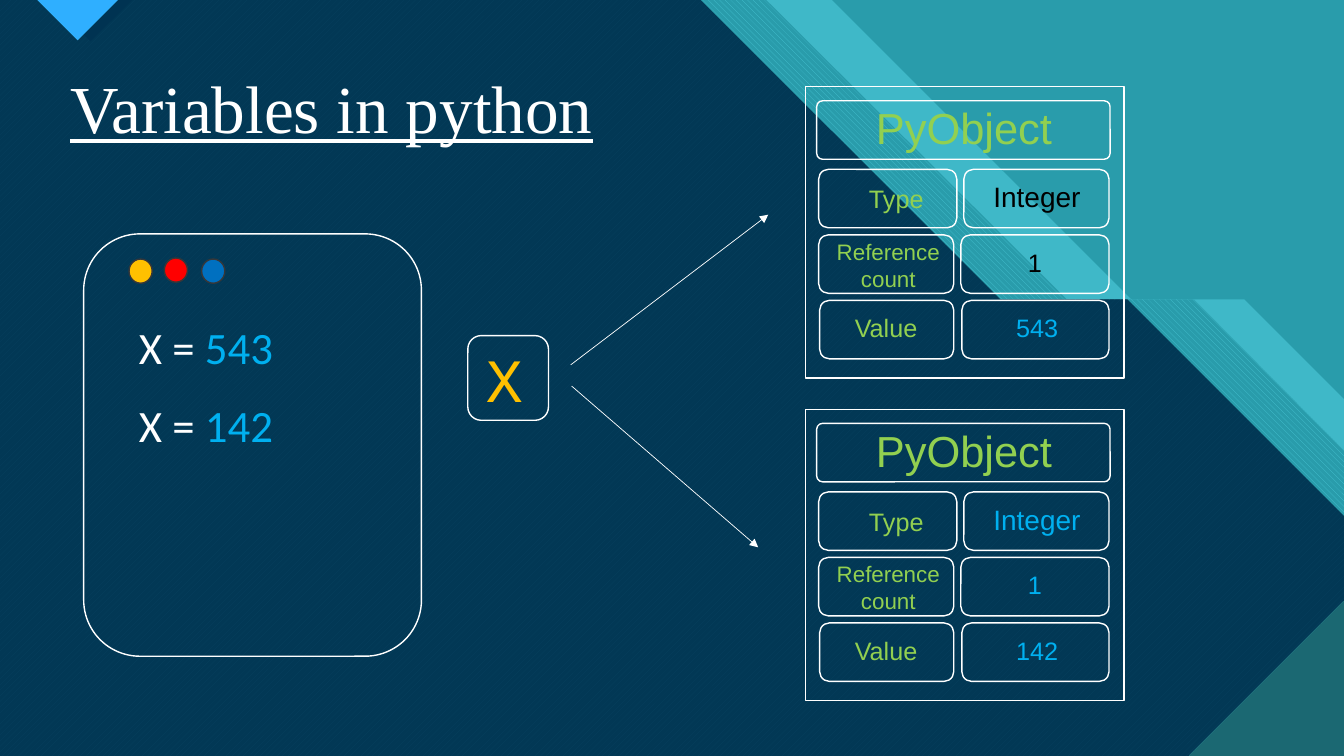
"""Build a slide showing how a Python variable refers to integer objects."""
import pptx
import pptx.util
import pptx.dml.color
import pptx.enum.dml
import pptx.enum.shapes
import pptx.enum.text
import pptx.oxml

Inches = pptx.util.Inches
rgb = pptx.dml.color.RGBColor.from_string
PATTERN = pptx.enum.dml.MSO_PATTERN
SHAPE = pptx.enum.shapes.MSO_SHAPE
ALIGN = pptx.enum.text.PP_ALIGN
ANCHOR = pptx.enum.text.MSO_ANCHOR
NS = 'xmlns:a="http://schemas.openxmlformats.org/drawingml/2006/main"'
WHITE, GREEN, BLUE, NAVY = "FFFFFF", "92D050", "00B0F0", "003352"
TEAL, AQUA, PINE = "299CAB", "47C3D3", "1B6872"

prs = pptx.Presentation()
prs.slide_width, prs.slide_height = Inches(13.33), Inches(7.5)
slide = prs.slides.add_slide(prs.slide_layouts[6])
slide.background.fill.solid()
slide.background.fill.fore_color.rgb = rgb(TEAL)


def add_box(kind, x, y, w, h, fill=None, line=WHITE, adj=None):
    sp = slide.shapes.add_shape(kind, Inches(x), Inches(y), Inches(w), Inches(h))
    sp.shadow.inherit = False
    if fill:
        sp.fill.solid()
        sp.fill.fore_color.rgb = rgb(fill)
    else:
        sp.fill.background()
    sp.line.color.rgb = rgb(line)
    sp.line.width = pptx.util.Pt(1)
    if adj is not None:
        sp.adjustments[0] = adj


def add_text(text, x, y, w, h, size, color=WHITE, font="Arial", value="", align=ALIGN.LEFT,
             anchor=ANCHOR.TOP, inset=0.1, spacing=None, underline=None):
    tf = slide.shapes.add_textbox(Inches(x), Inches(y), Inches(w), Inches(h)).text_frame
    tf.word_wrap = True
    tf.vertical_anchor = anchor
    tf.margin_left = tf.margin_right = Inches(inset)
    tf.margin_top = tf.margin_bottom = Inches(0.05)
    for i, line in enumerate(text.split("\n")):
        p = tf.add_paragraph() if i else tf.paragraphs[0]
        p.alignment = align
        p.line_spacing = spacing
        for part, part_color in ((line, color), (value, BLUE)):
            if part:
                r = p.add_run()
                r.text = part
                r.font.name = font
                r.font.size = pptx.util.Pt(size)
                r.font.underline = underline
                r.font.color.rgb = rgb(part_color)


dark_area = [(0, 0), (6.95, 0), (9.92, 2.97), (11.18, 2.97), (13.33, 5.12), (13.33, 7.5), (0, 7.5)]
backdrop = [
    ([(0, 0), (8.25, 0), (11.22, 2.97), (12.34, 2.97), (13.33, 3.96), (13.33, 7.5), (0, 7.5)],
     None, AQUA, None, 74),
    ([(0.66, 0), (7.6, 0), (10.58, 2.97), (11.84, 2.97), (13.33, 4.47), (13.33, 7.5), (0.66, 7.5)],
     PATTERN.WIDE_DOWNWARD_DIAGONAL, AQUA, TEAL, 100),
    (dark_area, PATTERN.WIDE_UPWARD_DIAGONAL, AQUA, PINE, 100),
    (dark_area, None, NAVY, None, 90),
    ([(0.48, 0), (1.31, 0), (0.9, 0.41)], None, NAVY, None, 100),
    ([(0.37, 0), (1.17, 0), (0.77, 0.4)], PATTERN.DARK_HORIZONTAL, "2FAFFF", PINE, 100),
    ([(11.79, 7.5), (13.33, 7.5), (13.33, 5.96)], PATTERN.DARK_HORIZONTAL, PINE, AQUA, 100),
]
for points, pattern, fore, back, opacity in backdrop:
    corners = [(Inches(x), Inches(y)) for x, y in points]
    builder = slide.shapes.build_freeform(*corners[0])
    builder.add_line_segments(corners[1:], close=True)
    sp = builder.convert_to_shape()
    sp.shadow.inherit = False
    sp.line.fill.background()
    if pattern:
        sp.fill.patterned()
        sp.fill.pattern = pattern
        sp.fill.back_color.rgb = rgb(back)
    else:
        sp.fill.solid()
    sp.fill.fore_color.rgb = rgb(fore)
    if opacity < 100:
        alpha = pptx.oxml.parse_xml(f'<a:alpha {NS} val="{opacity * 1000}"/>')
        sp.element.spPr.find(".//{*}srgbClr").append(alpha)

add_text("Variables in python", 0.6, 0.36, 11, 1.5, 48, font="Times New Roman",
         anchor=ANCHOR.MIDDLE, spacing=0.9, underline=True)

add_box(SHAPE.ROUNDED_RECTANGLE, 0.83, 2.32, 3.35, 4.19)
for x, y, color in ((1.28, 2.57, "FFC000"), (1.63, 2.56, "FF0000"), (2, 2.57, "0070C0")):
    add_box(SHAPE.OVAL, x, y, 0.23, 0.24, fill=color, line="363739")
for y, number in ((3.12, "543"), (3.9, "142")):
    add_text("X = ", 1.28, y, 1.83, 0.64, 32, font="Calibri", value=number)

add_box(SHAPE.ROUNDED_RECTANGLE, 4.64, 3.33, 0.8, 0.84)
add_text("X", 4.72, 3.33, 0.57, 0.84, 44, "FFC000", "Courier New")

cells = [(8.12, 1.68, 1.37), (9.56, 1.68, 1.44), (8.12, 2.33, 1.34),
         (9.53, 2.33, 1.47), (8.13, 2.98, 1.33), (9.54, 2.98, 1.46)]
centred = {"align": ALIGN.CENTER, "anchor": ANCHOR.MIDDLE, "spacing": 0.9}
for top, number, detail_color in ((0, "543", "000000"), (3.2, "142", BLUE)):
    add_box(SHAPE.RECTANGLE, 7.99, top + 0.86, 3.16, 2.89)
    add_box(SHAPE.ROUNDED_RECTANGLE, 8.1, top + 1, 2.91, 0.58, adj=0.1)
    for x, y, w in cells:
        add_box(SHAPE.ROUNDED_RECTANGLE, x, top + y, w, 0.58)
    add_text("PyObject", 8.12, top + 1.02, 2.88, 0.55, 31, GREEN, **centred)
    add_text("Integer", 9.59, top + 1.71, 1.39, 0.52, 20, detail_color, **centred)
    add_text("1", 9.56, top + 2.36, 1.41, 0.52, 18, detail_color, **centred)
    add_text("Type", 8.52, top + 1.77, 0.79, 0.4, 18, GREEN)
    add_text("Reference\ncount", 8.2, top + 2.31, 1.22, 0.64, 16, GREEN,
             align=ALIGN.CENTER, inset=0.05)
    add_text("Value", 8.38, top + 3.05, 0.94, 0.4, 18, GREEN)
    add_text(number, 9.98, top + 3.05, 0.64, 0.4, 18, BLUE)

for x1, y1, x2, y2 in ((5.66, 3.62, 7.62, 2.13), (5.67, 3.83, 7.52, 5.43)):
    arrow = slide.shapes.add_connector(pptx.enum.shapes.MSO_CONNECTOR.STRAIGHT,
                                       Inches(x1), Inches(y1), Inches(x2), Inches(y2))
    arrow.line.color.rgb = rgb(WHITE)
    arrow.line.width = pptx.util.Pt(0.5)
    arrow.line._get_or_add_ln().append(pptx.oxml.parse_xml(f'<a:tailEnd {NS} type="triangle"/>'))
    arrow._element.spPr.append(pptx.oxml.parse_xml(f"<a:effectLst {NS}/>"))

prs.save("out.pptx")
